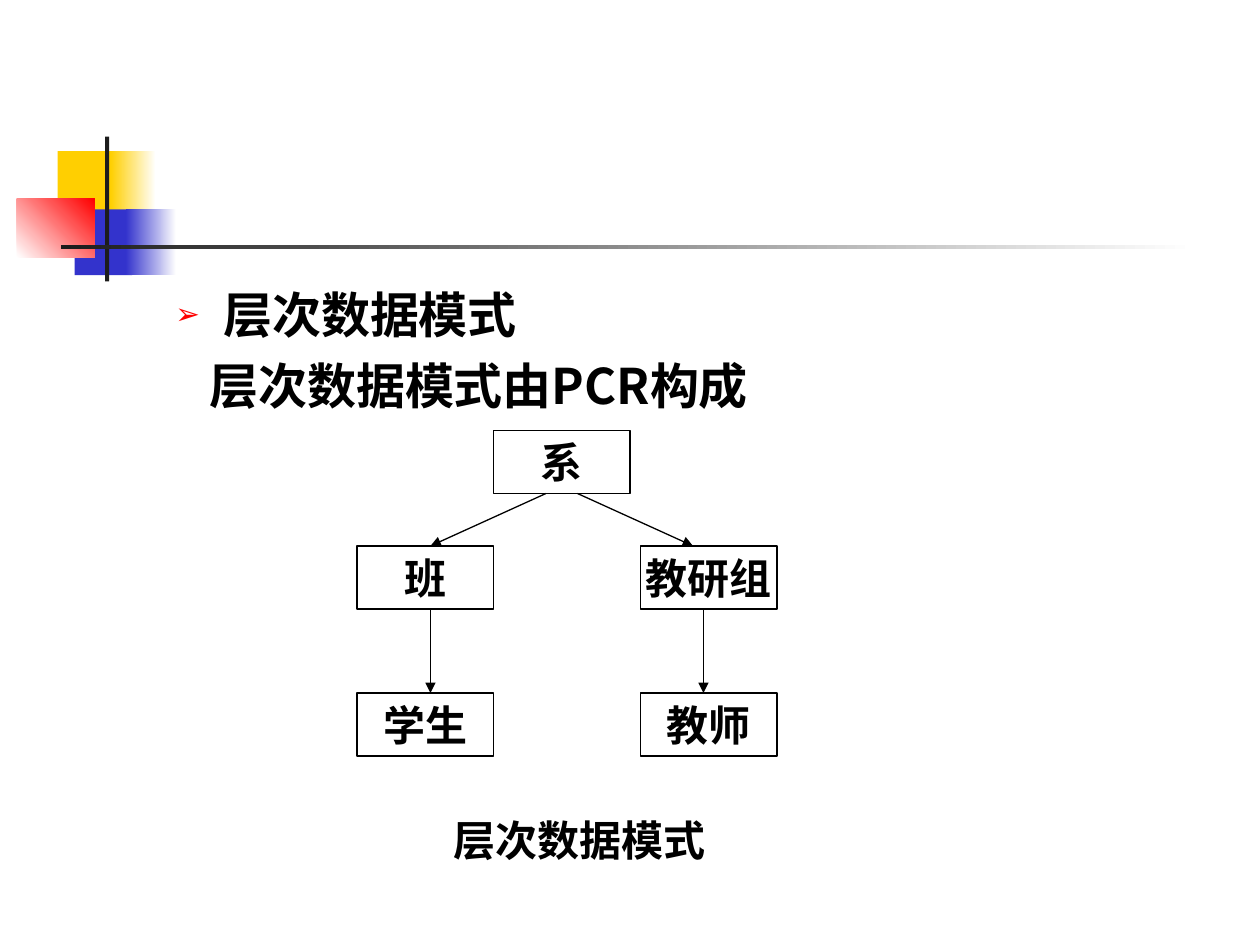
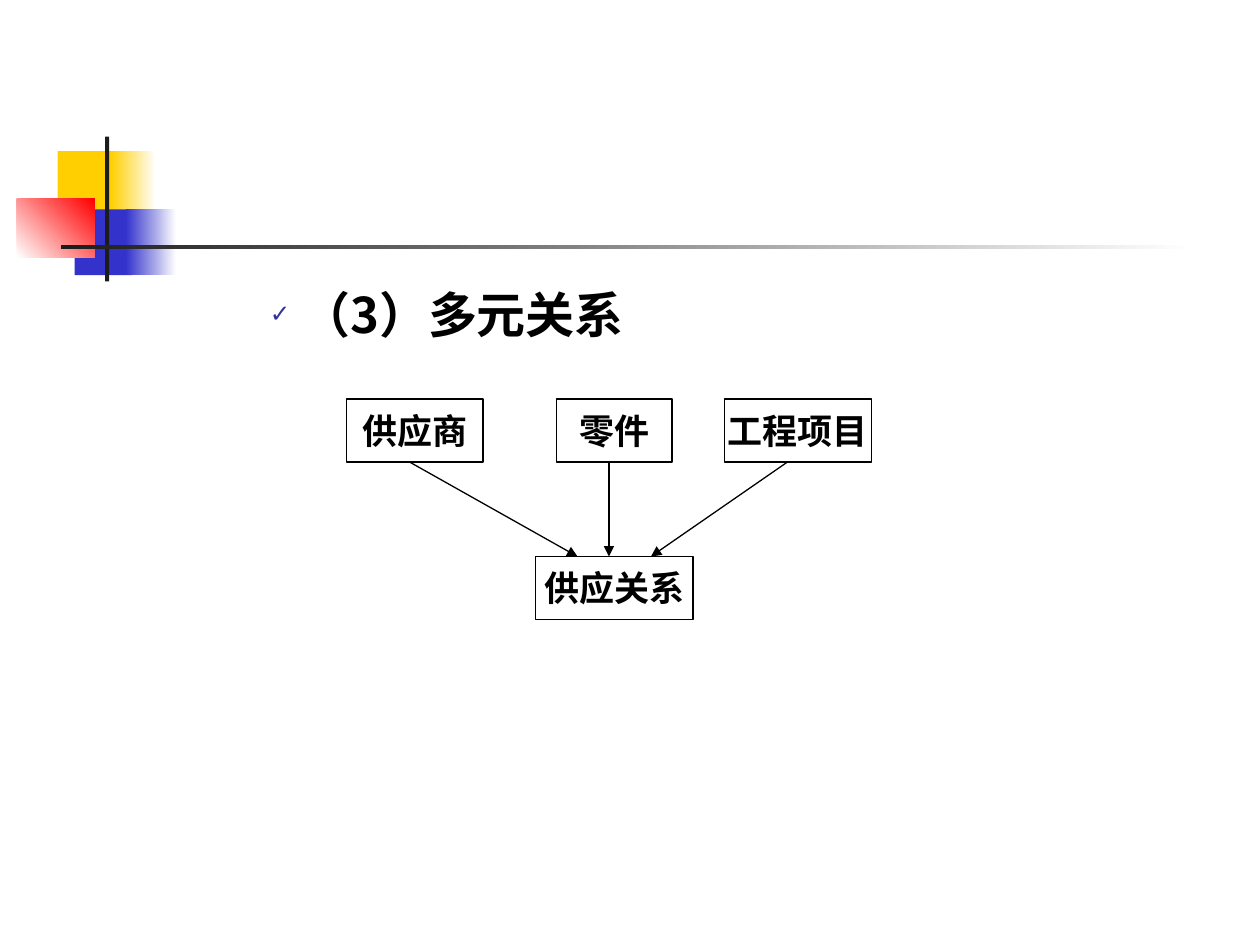
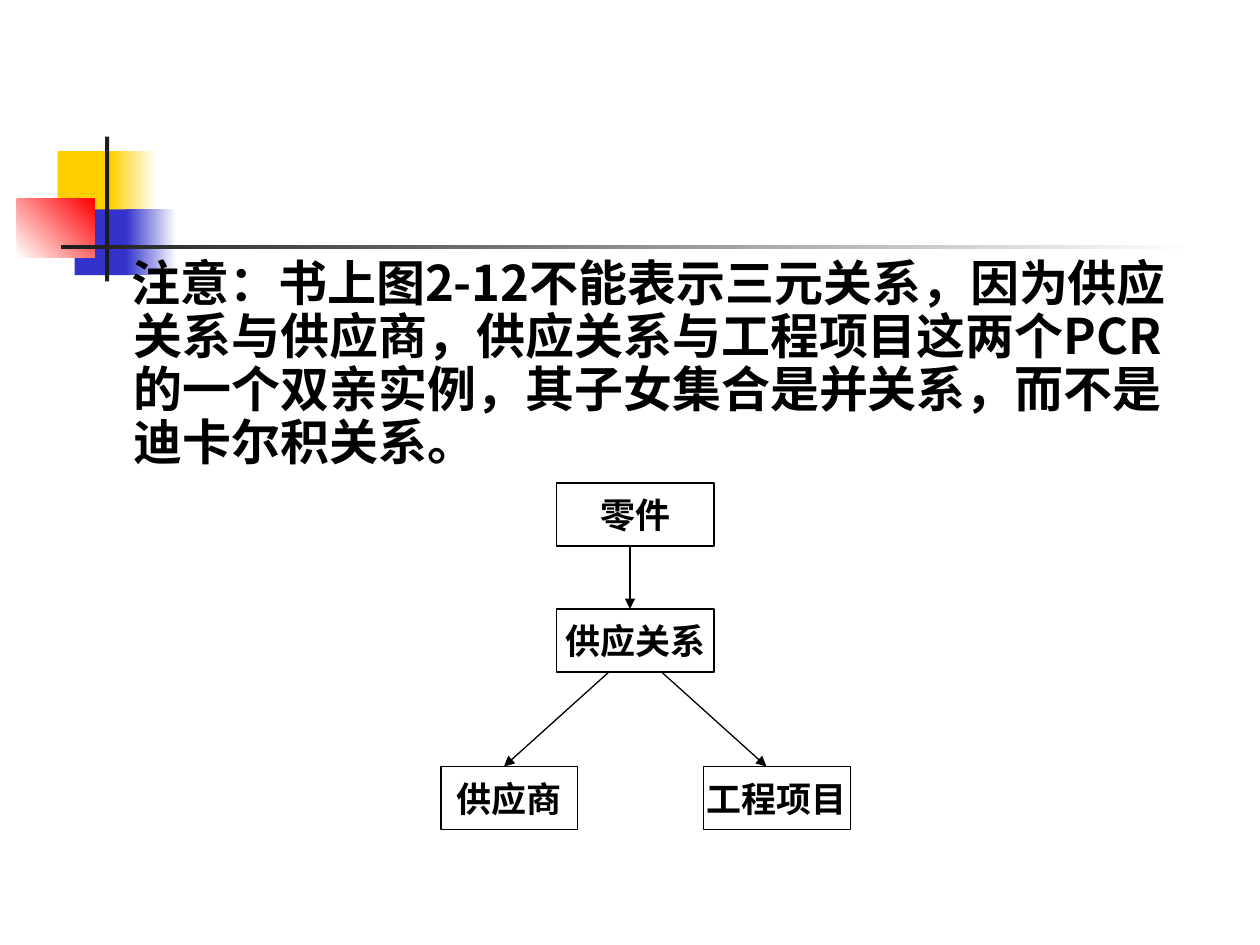
from typing import NamedTuple

from lxml.etree import SubElement
from pptx import Presentation
from pptx.dml.color import RGBColor
from pptx.enum.shapes import MSO_CONNECTOR, MSO_SHAPE
from pptx.enum.text import MSO_ANCHOR, MSO_AUTO_SIZE, PP_ALIGN
from pptx.oxml.ns import qn
from pptx.util import Inches, Length, Pt

UNIT = 1 / 12
BLACK, WHITE = "000000", "FFFFFF"
YELLOW, BLUE, RED, DARK = "FFCF01", "3333CC", "FF0000", "1C1C1C"
NOTO, CABIN = "Noto Sans CJK SC", "Cabin"
TALL = 6


class Area(NamedTuple):
    col: float
    row: float
    wide: float
    high: float


class Band(NamedTuple):
    area: Area
    start: str
    end: str = ""
    angle: float = 0


class Mark(NamedTuple):
    char: str
    color: str
    size: int


class Item(NamedTuple):
    text: str
    left: float
    first: float
    mark: Mark | None = None
    pitch: float = 1.0


class Node(NamedTuple):
    text: str
    col: int
    row: int
    wide: int = 13


class Link(NamedTuple):
    start: str
    end: str
    tail: int
    head: int


class Page(NamedTuple):
    area: Area
    items: list[Item]
    size: int
    nodes: list[Node]
    links: list[Link]
    label: str = ""


BANDS = [
    Band(Area(5.5, 14.4, 5.75, 6.25), YELLOW),
    Band(Area(10.55, 14.4, 4.3, 6.25), YELLOW, WHITE),
    Band(Area(7.1, 19.95, 5.5, 6.25), BLUE),
    Band(Area(12, 19.95, 4.8, 6.25), BLUE, WHITE),
    Band(Area(1.62, 18.95, 7.4, 5.55), WHITE, RED, 45),
    Band(Area(10, 13, 0.4, 13.8), DARK),
    Band(Area(5.8, 23.35, 108, 0.4), DARK, WHITE),
]

PAGES = [
    Page(
        Area(15.5, 26.5, 102, 15.5),
        [
            Item("层次数据模式", 0.38, -0.38, Mark("➢", RED, 60)),
            Item("层次数据模式由PCR构成", 0.38, -0.11),
        ],
        24,
        [
            Node("系", 47, 41),
            Node("班", 34, 52),
            Node("学生", 34, 66),
            Node("教研组", 61, 52),
            Node("教师", 61, 66),
        ],
        [
            Link("系", "班", 52, 41),
            Link("班", "学生", 41, 41),
            Link("系", "教研组", 55, 66),
            Link("教研组", "教师", 67, 67),
        ],
        "层次数据模式",
    ),
    Page(
        Area(15.5, 26.5, 102, 54),
        [Item("（3）多元关系", 1, -0.25, Mark("✓", "333399", 50))],
        20,
        [
            Node("供应商", 33, 38),
            Node("零件", 53, 38, 11),
            Node("工程项目", 69, 38, 14),
            Node("供应关系", 51, 53, 15),
        ],
        [
            Link("供应商", "供应关系", 39, 55),
            Link("零件", "供应关系", 58, 58),
            Link("工程项目", "供应关系", 75, 62),
        ],
    ),
    Page(
        Area(7, 24.1, 108.5, 23.5),
        [
            Item(
                "注意：书上图2-12不能表示三元关系，因为供应关系与供应商，"
                "供应关系与工程项目这两个PCR的一个双亲实例，"
                "其子女集合是并关系，而不是迪卡尔积关系。",
                0.38, -0.02, None, 0.9,
            )
        ],
        20,
        [
            Node("供应商", 42, 73),
            Node("零件", 53, 46, 15),
            Node("工程项目", 67, 73, 14),
            Node("供应关系", 53, 58, 15),
        ],
        [
            Link("零件", "供应关系", 60, 60),
            Link("供应关系", "供应商", 58, 48),
            Link("供应关系", "工程项目", 63, 73),
        ],
    ),
]


def grid(count: float) -> Length:
    return Inches(count * UNIT)


def spots(area: Area) -> list[Length]:
    return [grid(part) for part in area]


def paint(target, color: str) -> None:
    target.rgb = RGBColor.from_string(color)


def write(para, text: str, *, size: int, font: str = CABIN, color: str = BLACK,
          align=PP_ALIGN.LEFT, gap: float = 0, pitch: float = 1.0) -> None:
    para.alignment = align
    para.space_before = Pt(gap)
    para.line_spacing = pitch
    run = para.add_run()
    run.text = text
    run.font.size = Pt(size)
    run.font.bold = True
    paint(run.font.color, color)
    run.font.name = font
    SubElement(run.font._element, qn("a:ea"), typeface=NOTO)


def indent(para, item: Item) -> None:
    props = para._p.get_or_add_pPr()
    props.set("marL", str(Inches(item.left)))
    props.set("indent", str(Inches(item.first)))
    if item.mark is None:
        SubElement(props, qn("a:buNone"))
        return
    tint = SubElement(props, qn("a:buClr"))
    SubElement(tint, qn("a:srgbClr"), val=item.mark.color)
    SubElement(props, qn("a:buSzPct"), val=str(item.mark.size * 1000))
    SubElement(props, qn("a:buChar"), char=item.mark.char)


def block(slide, area: Area):
    shape = slide.shapes.add_shape(MSO_SHAPE.RECTANGLE, *spots(area))
    shape.shadow.inherit = False
    return shape


def dress(deck, slide) -> None:
    tree = deck.slide_master.shapes.element
    for place, band in enumerate(BANDS):
        shape = block(slide, band.area)
        shape.line.fill.background()
        if band.end:
            shape.fill.gradient()
            shape.fill.gradient_angle = band.angle
            for stop, color in zip(shape.fill.gradient_stops, (band.start, band.end)):
                paint(stop.color, color)
        else:
            shape.fill.solid()
            paint(shape.fill.fore_color, band.start)
        shape.element.nvSpPr.cNvPr.set("id", str(100 + place))
        tree.insert(2 + place, shape.element)


def fill_body(slide, page: Page) -> None:
    title = slide.shapes.title.element
    title.getparent().remove(title)
    body = slide.placeholders[1]
    body.left, body.top, body.width, body.height = spots(page.area)
    frame = body.text_frame
    frame.auto_size = MSO_AUTO_SIZE.NONE
    frame.vertical_anchor = MSO_ANCHOR.TOP
    for place, item in enumerate(page.items):
        para = frame.add_paragraph() if place else frame.paragraphs[0]
        indent(para, item)
        write(para, item.text, size=28, font=NOTO,
              gap=7 if place else 0, pitch=item.pitch)


def draw_node(slide, node: Node, size: int) -> None:
    shape = block(slide, Area(node.col, node.row, node.wide, TALL))
    shape.fill.background()
    paint(shape.line.color, BLACK)
    shape.line.width = Pt(0.75)
    frame = shape.text_frame
    frame.word_wrap = False
    frame.vertical_anchor = MSO_ANCHOR.MIDDLE
    write(frame.paragraphs[0], node.text, size=size, align=PP_ALIGN.CENTER)


def draw_link(slide, link: Link, rows: dict[str, int]) -> None:
    line = slide.shapes.add_connector(
        MSO_CONNECTOR.STRAIGHT,
        grid(link.tail), grid(rows[link.start] + TALL),
        grid(link.head), grid(rows[link.end]),
    )
    paint(line.line.color, BLACK)
    line.line.width = Pt(0.75)
    SubElement(line.line._get_or_add_ln(), qn("a:tailEnd"), type="triangle")
    SubElement(line.element.spPr, qn("a:effectLst"))


def draw_page(slide, page: Page) -> None:
    fill_body(slide, page)
    if page.label:
        box = slide.shapes.add_textbox(*spots(Area(42, 77, 32, TALL)))
        box.text_frame.word_wrap = True
        write(box.text_frame.paragraphs[0], page.label, size=24)
    for node in page.nodes:
        draw_node(slide, node, page.size)
    rows = {node.text: node.row for node in page.nodes}
    for link in page.links:
        draw_link(slide, link, rows)


def main() -> None:
    deck = Presentation()
    deck.slide_width, deck.slide_height = Inches(10), Inches(7.5)
    for place, page in enumerate(PAGES):
        slide = deck.slides.add_slide(deck.slide_layouts[1])
        if place == 0:
            dress(deck, slide)
        draw_page(slide, page)
    deck.save("out.pptx")


if __name__ == "__main__":
    main()
